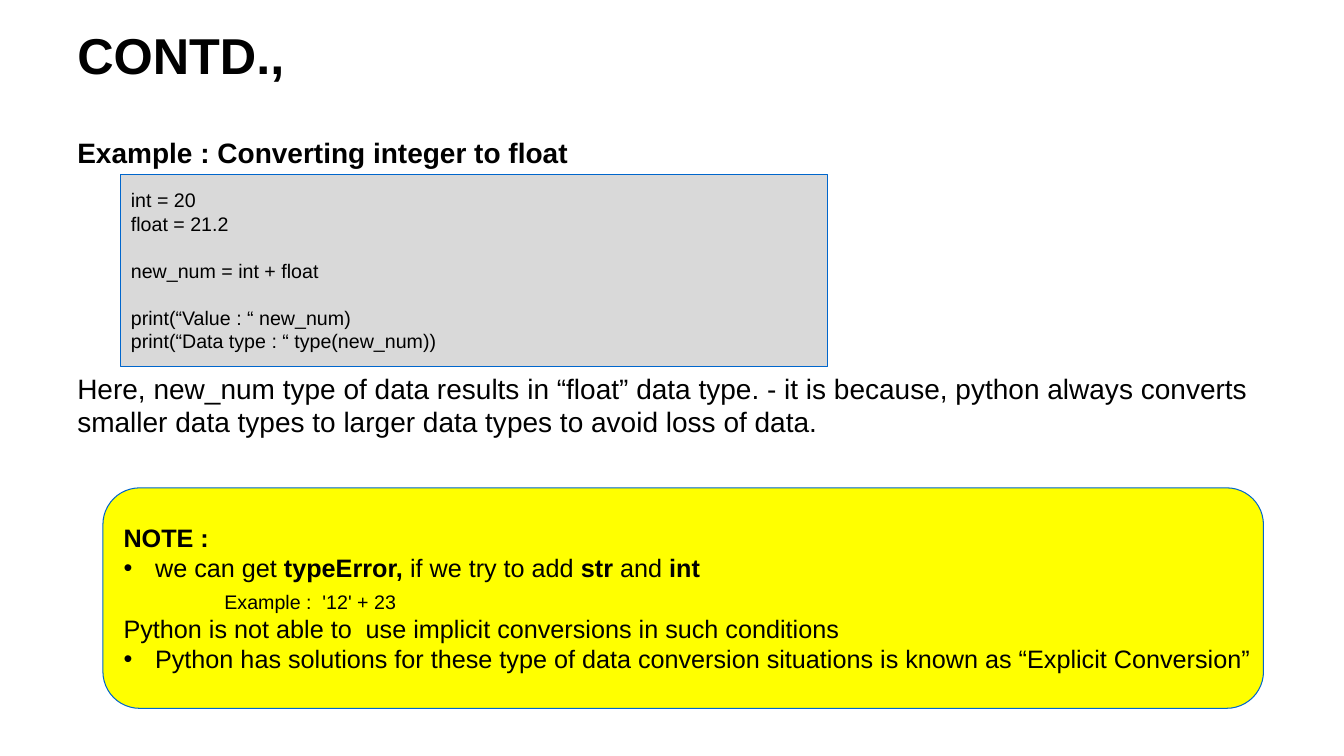
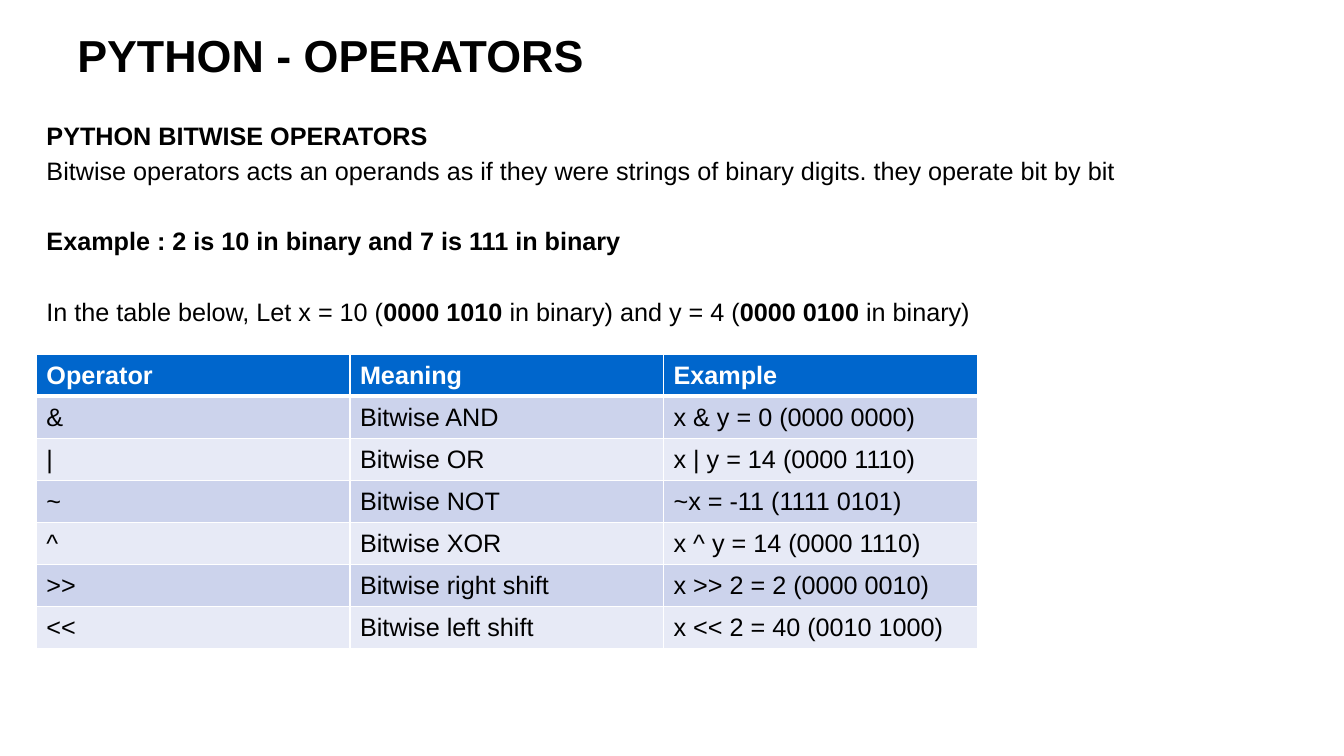
import pptx
import pptx.util
import pptx.dml.color
import pptx.enum.shapes
import pptx.enum.text
import pptx.oxml.ns
import lxml.etree
from dataclasses import dataclass

Pt = pptx.util.Pt


@dataclass(frozen=True)
class Theme:
    font: str = "Arial"
    ink: str = "000000"
    white: str = "FFFFFF"
    accent: str = "0066CC"
    code_fill: str = "D9D9D9"
    note_fill: str = "FFFF00"
    row_fills: tuple = ("CCD3EC", "E7EAF6")
    large: int = 20
    normal: int = 18
    small: int = 14
    line_factor: float = 1.2
    gap_factor: float = 0.2
    outline: float = 0.75
    bullet_indent: float = 22.5
    tab_indent: float = 72


THEME = Theme()
SLIDE_SIZE = (960, 540)
TITLE_BOX = (48, 16, 864, 46)

CONVERSION = {
    "title": "CONTD.,",
    "title_size": 36,
    "body_box": (48, 93.5, 878, 390),
    "body_size": THEME.large,
    "body": [
        (0, [("Example : Converting integer to float", True)]),
        (5, [("Here, new_num type of data results in “float” data type. - it is because, "
              "python always converts smaller data types to larger data types to avoid "
              "loss of data.", False)]),
    ],
}
CODE_BOX = (86.4, 124.5, 505, 137.5)
CODE = [
    (0, "int = 20"),
    (0, "float = 21.2"),
    (1, "new_num = int + float"),
    (1, "print(“Value : “ new_num)"),
    (0, "print(“Data type : “ type(new_num))"),
]
NOTE_BOX = (73.5, 348.5, 829, 157.5)
NOTE = [
    ("plain", [("NOTE :", True)]),
    ("bullet", [("we can get ", False), ("typeError, ", True), ("if we try to add ", False),
                ("str", True), (" and ", False), ("int", True)]),
    ("example", [("Example :  '12' + 23", False)]),
    ("plain", [("Python is not able to  use implicit conversions in such conditions", False)]),
    ("bullet", [("Python has solutions for these type of data conversion situations is known "
                 "as “Explicit Conversion”", False)]),
]

OPERATORS = {
    "title": "PYTHON - OPERATORS",
    "title_size": 32,
    "body_box": (26, 82, 926, 447),
    "body_size": THEME.normal,
    "body": [
        (0, [("PYTHON BITWISE OPERATORS", True)]),
        (0, [("Bitwise operators acts an operands as if they were strings of binary digits. "
              "they operate bit by bit", False)]),
        (1, [("Example : 2 is 10 in binary and 7 is 111 in binary", True)]),
        (1, [("In the table below, Let x = 10 (", False), ("0000 1010 ", True),
             ("in binary) and y = 4 (", False), ("0000 0100", True), (" in binary)", False)]),
    ],
}
TABLE_ORIGIN = (26, 253)
COLUMN_WIDTH, ROW_HEIGHT = 224, 30
TABLE = [
    ("Operator", "Meaning", "Example"),
    ("&", "Bitwise AND", "x & y = 0 (0000 0000)"),
    ("|", "Bitwise OR", "x | y = 14 (0000 1110)"),
    ("~", "Bitwise NOT", "~x = -11 (1111 0101)"),
    ("^", "Bitwise XOR", "x ^ y = 14 (0000 1110)"),
    (">>", "Bitwise right shift", "x >> 2 = 2 (0000 0010)"),
    ("<<", "Bitwise left shift", "x << 2 = 40 (0010 1000)"),
]


def rgb(value):
    return pptx.dml.color.RGBColor.from_string(value)


def points(values):
    return [Pt(value) for value in values]


def add_element(parent, tag, **attributes):
    element = lxml.etree.SubElement(parent, pptx.oxml.ns.qn(tag))
    for name, value in attributes.items():
        element.set(name, str(value))
    return element


def place(shape, box):
    shape.left, shape.top, shape.width, shape.height = points(box)


def set_indent(paragraph, left=0, bullet=False):
    properties = paragraph._p.get_or_add_pPr()
    properties.set("marL", str(Pt(left)))
    properties.set("indent", str(-Pt(left) if bullet else 0))
    if bullet:
        add_element(properties, "a:buFont", typeface=THEME.font)
        add_element(properties, "a:buChar", char="•")
    else:
        add_element(properties, "a:buNone")


def write(paragraph, runs, size, color=THEME.ink, before=0, line_size=None):
    paragraph.alignment = pptx.enum.text.PP_ALIGN.LEFT
    paragraph.line_spacing = Pt((line_size or size) * THEME.line_factor)
    paragraph.space_before = Pt(before)
    paragraph.font.name = THEME.font
    paragraph.font.size = Pt(size)
    paragraph.font.color.rgb = rgb(color)
    mixed = len({bold for _, bold in runs}) > 1
    if not mixed:
        paragraph.font.bold = runs[0][1]
    for text, bold in runs:
        run = paragraph.add_run()
        run.text = text
        if mixed:
            run.font.bold = bold


def paragraphs_for(frame, items):
    for index, item in enumerate(items):
        yield (frame.add_paragraph() if index else frame.paragraphs[0]), item


def prepare_frame(frame, anchor, wrap=True):
    frame.auto_size = pptx.enum.text.MSO_AUTO_SIZE.NONE
    frame.word_wrap = wrap
    frame.vertical_anchor = anchor


def add_slide(presentation, content):
    slide = presentation.slides.add_slide(presentation.slide_layouts[1])
    title = slide.shapes.title
    prepare_frame(title.text_frame, pptx.enum.text.MSO_ANCHOR.MIDDLE)
    write(title.text_frame.paragraphs[0], [(content["title"], True)], content["title_size"])

    body = slide.placeholders[1]
    place(body, content["body_box"])
    prepare_frame(body.text_frame, pptx.enum.text.MSO_ANCHOR.TOP)
    size = content["body_size"]
    gap = size * THEME.gap_factor
    pitch = size * THEME.line_factor + gap
    for index, (paragraph, (skipped, runs)) in enumerate(
            paragraphs_for(body.text_frame, content["body"])):
        set_indent(paragraph)
        write(paragraph, runs, size, before=gap + skipped * pitch if index else 0)
    return slide


def add_panel(slide, preset, box, fill):
    panel = slide.shapes.add_shape(preset, *points(box))
    panel.shadow.inherit = False
    panel.fill.solid()
    panel.fill.fore_color.rgb = rgb(fill)
    panel.line.color.rgb = rgb(THEME.accent)
    panel.line.width = Pt(THEME.outline)
    prepare_frame(panel.text_frame, pptx.enum.text.MSO_ANCHOR.MIDDLE, wrap=False)
    return panel.text_frame


def add_code(slide):
    frame = add_panel(slide, pptx.enum.shapes.MSO_SHAPE.RECTANGLE, CODE_BOX, THEME.code_fill)
    line = THEME.small * THEME.line_factor
    for paragraph, (skipped, text) in paragraphs_for(frame, CODE):
        write(paragraph, [(text, False)], THEME.small, before=skipped * line)


def add_note(slide):
    frame = add_panel(slide, pptx.enum.shapes.MSO_SHAPE.ROUNDED_RECTANGLE, NOTE_BOX,
                      THEME.note_fill)
    indents = {"plain": 0, "bullet": THEME.bullet_indent, "example": THEME.tab_indent}
    for paragraph, (kind, runs) in paragraphs_for(frame, NOTE):
        set_indent(paragraph, indents[kind], bullet=kind == "bullet")
        size = THEME.small if kind == "example" else THEME.normal
        write(paragraph, runs, size, line_size=THEME.normal)


def set_borders(cell, widths):
    properties = cell._tc.get_or_add_tcPr()
    for side, width in widths.items():
        line = add_element(properties, f"a:ln{side}", w=Pt(width))
        add_element(add_element(line, "a:solidFill"), "a:srgbClr", val=THEME.white)


def add_operator_table(slide):
    row_count, column_count = len(TABLE), len(TABLE[0])
    size = (column_count * COLUMN_WIDTH, row_count * ROW_HEIGHT)
    table = slide.shapes.add_table(row_count, column_count,
                                   *points(TABLE_ORIGIN + size)).table
    for row_index, row in enumerate(TABLE):
        header = row_index == 0
        fill = THEME.accent if header else THEME.row_fills[(row_index - 1) % 2]
        color = THEME.white if header else THEME.ink
        top, bottom = (3 if row_index == 1 else 1), (3 if header else 1)
        for column_index, text in enumerate(row):
            cell = table.cell(row_index, column_index)
            set_borders(cell, {"L": 1, "R": 1, "T": top, "B": bottom})
            cell.fill.solid()
            cell.fill.fore_color.rgb = rgb(fill)
            write(cell.text_frame.paragraphs[0], [(text, header)], THEME.normal, color)


def main():
    presentation = pptx.Presentation()
    presentation.slide_width, presentation.slide_height = points(SLIDE_SIZE)
    place(presentation.slide_layouts[1].placeholders[0], TITLE_BOX)

    conversion = add_slide(presentation, CONVERSION)
    add_code(conversion)
    add_note(conversion)

    operators = add_slide(presentation, OPERATORS)
    add_operator_table(operators)
    presentation.save("out.pptx")


if __name__ == "__main__":
    main()
